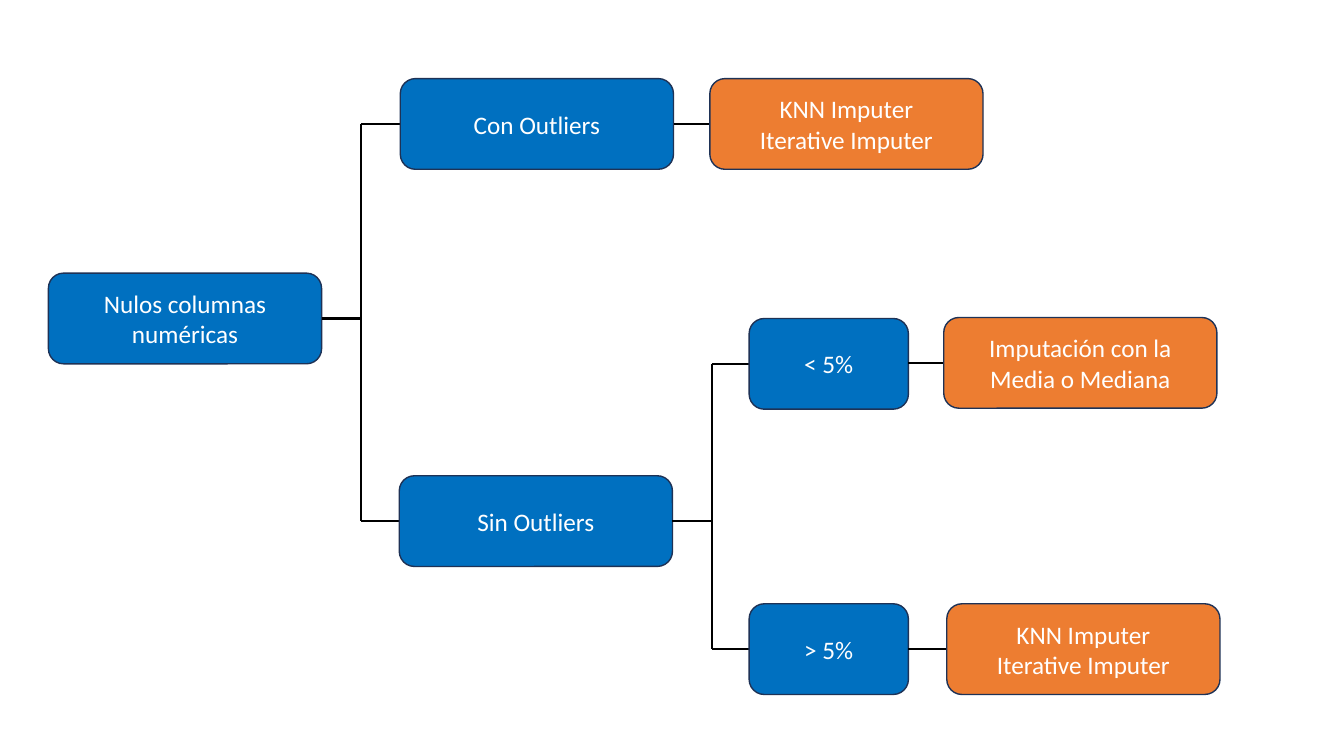
import dataclasses
import typing

import pptx
import pptx.dml.color
import pptx.enum.shapes
import pptx.enum.text
import pptx.oxml.ns
import pptx.slide
import pptx.util
from lxml import etree

Inches = pptx.util.Inches
Pt = pptx.util.Pt
RGBColor = pptx.dml.color.RGBColor


@dataclasses.dataclass(frozen=True)
class Theme:
    question: RGBColor = RGBColor(0x00, 0x70, 0xC0)
    method: RGBColor = RGBColor(0xED, 0x7D, 0x31)
    outline: RGBColor = RGBColor(0x1E, 0x32, 0x56)
    branch: RGBColor = RGBColor(0x00, 0x00, 0x00)
    text: RGBColor = RGBColor(0xFF, 0xFF, 0xFF)
    font: str = "Calibri"
    text_size: int = 18
    outline_width: float = 1
    branch_width: float = 1.5


THEME = Theme()
WIDE = 2.71
NARROW = 1.58
NODE_HEIGHT = 0.9
STUB = 0.39


@dataclasses.dataclass(frozen=True)
class Node:
    left: float
    top: float
    paragraphs: tuple[str, ...]
    color: RGBColor = THEME.question
    width: float = WIDE
    children: tuple["Node", ...] = ()

    @property
    def right(self) -> float:
        return self.left + self.width

    @property
    def middle(self) -> float:
        return self.top + NODE_HEIGHT / 2


def apply_format(target: typing.Any, values: dict[str, typing.Any]) -> None:
    for attribute, value in values.items():
        setattr(target, attribute, value)


def draw_branch(slide: pptx.slide.Slide, x1: float, y1: float, x2: float, y2: float) -> None:
    branch = slide.shapes.add_connector(
        pptx.enum.shapes.MSO_CONNECTOR.STRAIGHT,
        Inches(x1), Inches(y1), Inches(x2), Inches(y2),
    )
    branch.line.width = Pt(THEME.branch_width)
    branch.line.color.rgb = THEME.branch
    etree.SubElement(branch.element.spPr, pptx.oxml.ns.qn("a:effectLst"))


def draw_node(slide: pptx.slide.Slide, node: Node) -> None:
    box = slide.shapes.add_shape(
        pptx.enum.shapes.MSO_SHAPE.ROUNDED_RECTANGLE,
        Inches(node.left), Inches(node.top), Inches(node.width), Inches(NODE_HEIGHT),
    )
    box.shadow.inherit = False
    box.fill.solid()
    box.fill.fore_color.rgb = node.color
    box.line.color.rgb = THEME.outline
    box.line.width = Pt(THEME.outline_width)
    frame = box.text_frame
    apply_format(frame, {
        "word_wrap": True,
        "vertical_anchor": pptx.enum.text.MSO_ANCHOR.MIDDLE,
        "text": "\n".join(node.paragraphs),
    })
    for paragraph in frame.paragraphs:
        paragraph.alignment = pptx.enum.text.PP_ALIGN.CENTER
        for run in paragraph.runs:
            apply_format(run.font, {"name": THEME.font, "size": Pt(THEME.text_size)})
            run.font.color.rgb = THEME.text


def draw_links(slide: pptx.slide.Slide, parent: Node) -> None:
    if len(parent.children) == 1:
        child = parent.children[0]
        draw_branch(slide, parent.right, child.middle, child.left, child.middle)
        return
    trunk = parent.right + STUB
    levels = [child.middle for child in parent.children]
    draw_branch(slide, parent.right, parent.middle, trunk, parent.middle)
    draw_branch(slide, trunk, min(levels), trunk, max(levels))
    for child in parent.children:
        draw_branch(slide, trunk, child.middle, child.left, child.middle)


def draw_tree(slide: pptx.slide.Slide, node: Node) -> None:
    draw_node(slide, node)
    if node.children:
        draw_links(slide, node)
    for child in node.children:
        draw_tree(slide, child)


def method(left: float, top: float, *paragraphs: str) -> Node:
    return Node(left, top, paragraphs, THEME.method)


IMPUTERS = ("KNN Imputer", "Iterative Imputer")

WITH_OUTLIERS = Node(
    3.97, 0.78, ("Con Outliers",), children=(method(7.04, 0.78, *IMPUTERS),)
)
FEW_NULLS = Node(
    7.43, 3.16, ("< 5%",), width=NARROW,
    children=(method(9.36, 3.15, "Imputación con la Media o Mediana"),),
)
MANY_NULLS = Node(
    7.43, 5.99, ("> 5%",), width=NARROW, children=(method(9.39, 5.99, *IMPUTERS),)
)
WITHOUT_OUTLIERS = Node(
    3.96, 4.72, ("Sin Outliers",), children=(FEW_NULLS, MANY_NULLS)
)
NUMERIC_NULLS = Node(
    0.48, 2.71, ("Nulos columnas numéricas",),
    children=(WITH_OUTLIERS, WITHOUT_OUTLIERS),
)


def main() -> None:
    presentation = pptx.Presentation()
    apply_format(presentation, {"slide_width": Inches(13.33), "slide_height": Inches(7.5)})
    slide = presentation.slides.add_slide(presentation.slide_layouts[6])
    draw_tree(slide, NUMERIC_NULLS)
    presentation.save("out.pptx")


if __name__ == "__main__":
    main()
